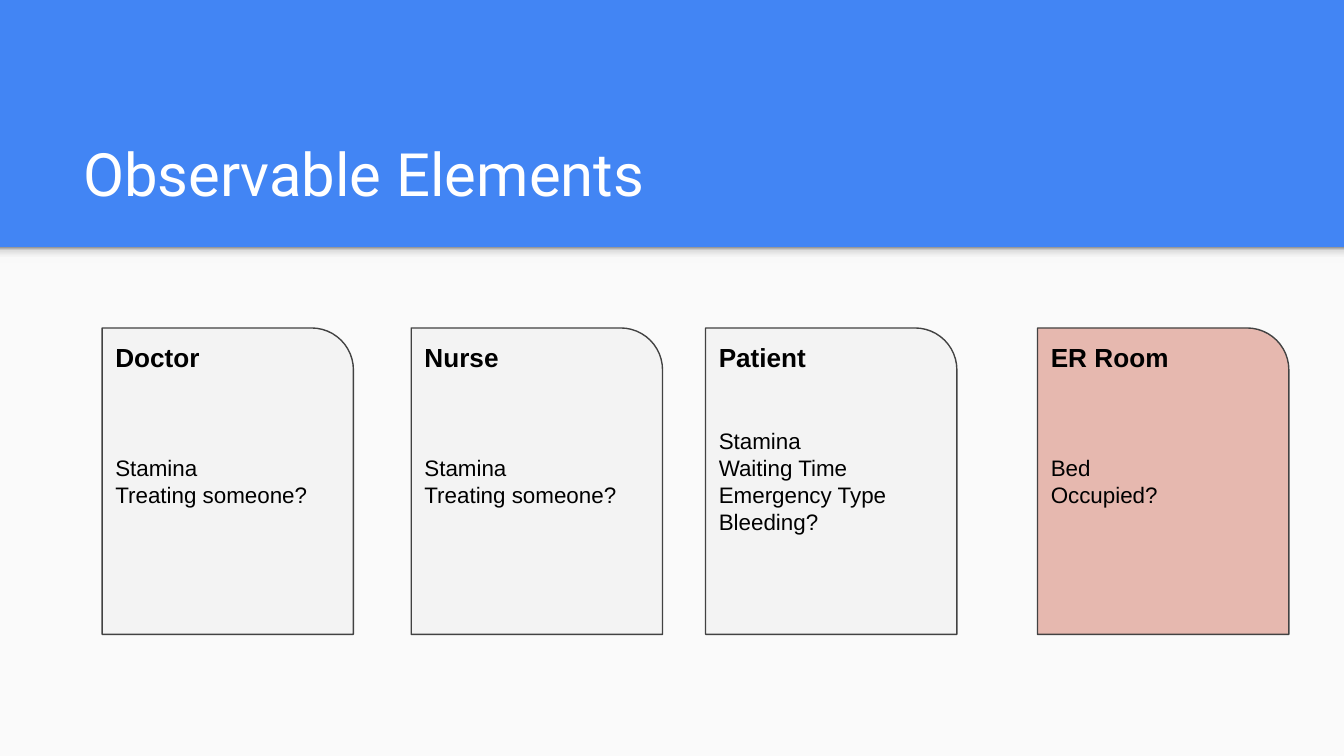
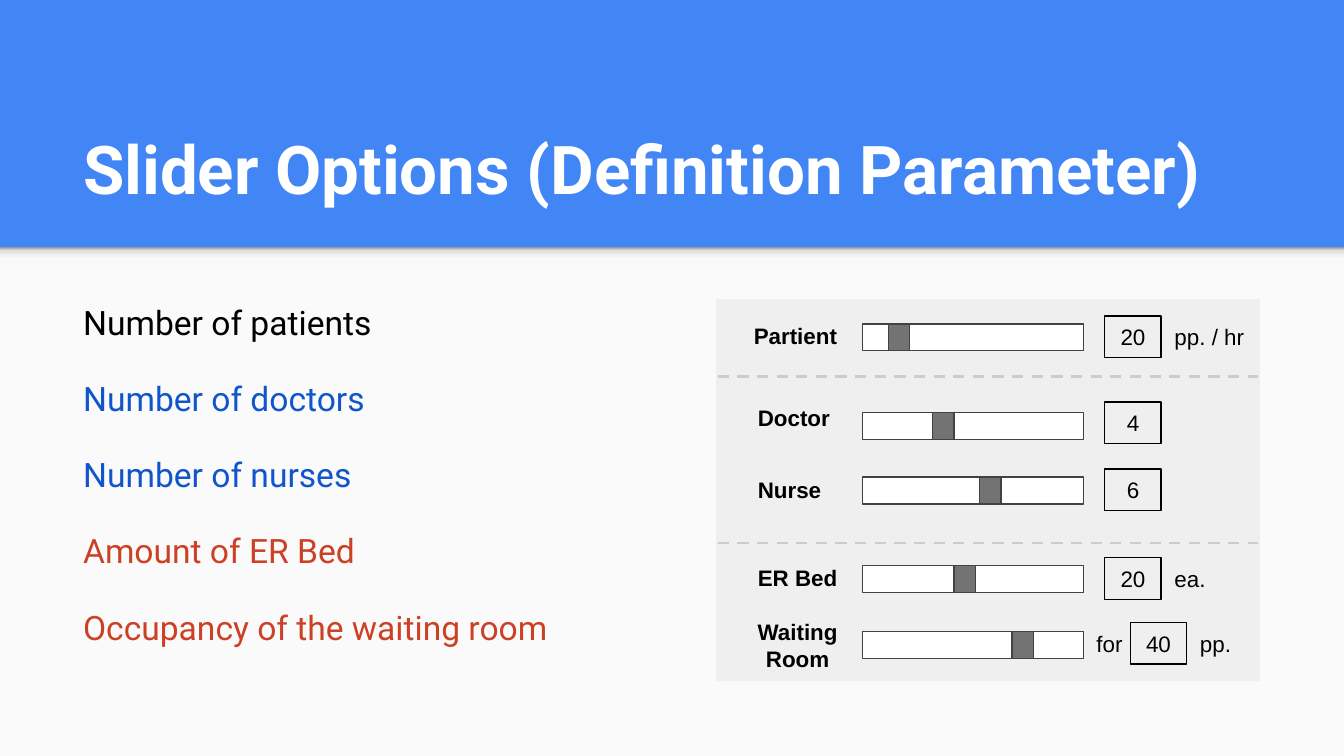
import lxml.etree
import pptx
import pptx.util
from pptx.dml.color import RGBColor
from pptx.enum.dml import MSO_LINE
from pptx.enum.shapes import MSO_CONNECTOR, MSO_SHAPE
from pptx.enum.text import MSO_ANCHOR, PP_ALIGN
from pptx.oxml.ns import qn
from pptx.util import Inches

# Page: 16 to 9
SLIDE_W = 10
SLIDE_H = SLIDE_W * 9 / 16
BAND_H = 1.84

# Colours
BAND = RGBColor(0x42, 0x85, 0xF4)
PAGE = RGBColor(0xFA, 0xFA, 0xFA)
WHITE = RGBColor(0xFF, 0xFF, 0xFF)
BLACK = RGBColor(0, 0, 0)
OUTLINE = RGBColor(0x42, 0x42, 0x42)
CARD = RGBColor(0xF3, 0xF3, 0xF3)
ROOM = RGBColor(0xE6, 0xB8, 0xAF)
PANEL = RGBColor(0xEF, 0xEF, 0xEF)
DIVIDER = RGBColor(0xCC, 0xCC, 0xCC)
KNOB = RGBColor(0x73, 0x73, 0x73)
STAFF = RGBColor(0x11, 0x55, 0xCC)
PLACE = RGBColor(0xCC, 0x41, 0x25)
SHADE_STOPS = [(0, "F9F9F9"), (36, "F9F9F9"), (80, "DEDEDE"), (100, "999999")]

# Text formats
TITLE = {"name": "Roboto", "size": pptx.util.Pt(32)}
TITLE_BOLD = {"name": "Roboto", "size": pptx.util.Pt(36), "bold": True}
BODY = {"name": "Roboto", "size": pptx.util.Pt(18)}
PLAIN = {"name": "Arial", "size": pptx.util.Pt(12)}
LABEL = {**PLAIN, "bold": True}
HEADING = {**LABEL, "size": pptx.util.Pt(14)}
BODY_SPACING = {"line_spacing": 1.15, "space_after": pptx.util.Pt(16)}

# Content
CARD_W, CARD_H, CARD_TOP = 1.87, 2.28, 2.44
CARDS = [  # left, heading, heading width, lines, fill
    (0.76, "Doctor", 0.93, ["Stamina", "Treating someone?"], CARD),
    (3.06, "Nurse", 0.97, ["Stamina", "Treating someone?"], CARD),
    (5.25, "Patient", 0.97,
     ["Stamina", "Waiting Time", "Emergency Type", "Bleeding?"], CARD),
    (7.72, "ER Room", 1.45, ["Bed", "Occupied?"], ROOM),
]
OPTIONS = [
    ("Number of patients", BLACK),
    ("Number of doctors", STAFF),
    ("Number of nurses", STAFF),
    ("Amount of ER Bed", PLACE),
    ("Occupancy of the waiting room", PLACE),
]
TRACK_LEFT, TRACK_W, KNOB_W, TRACK_H = 6.42, 1.64, 0.16, 0.2
VALUE_W, VALUE_H = 0.42, 0.31
LEFT, CENTER = PP_ALIGN.LEFT, PP_ALIGN.CENTER
SLIDERS = [  # label, its box, its alignment, track top, knob left,
             # value, value corner, unit and its width
    ("Partient", (5.51, 2.3, 0.92, 0.41), LEFT, 2.41, 6.61,
     "20", (8.22, 2.35), ("pp. / hr", 0.85)),
    ("Doctor", (5.54, 2.91, 0.85, 0.41), LEFT, 3.07, 6.94,
     "4", (8.22, 2.99), None),
    ("Nurse", (5.54, 3.44, 0.85, 0.41), LEFT, 3.55, 7.29,
     "6", (8.22, 3.49), None),
    ("ER Bed", (5.54, 4.1, 0.85, 0.41), LEFT, 4.21, 7.1,
     "20", (8.22, 4.15), ("ea.", 0.73)),
    ("Waiting Room", (5.51, 4.5, 0.85, 0.41), CENTER, 4.7, 7.53,
     "40", (8.41, 4.63), ("pp.", 0.54)),
]


def write(sp, lines, font, anchor=MSO_ANCHOR.TOP, align=LEFT, spacing=None):
    """Fill a shape with one paragraph per (text, colour) pair."""
    tf = sp.text_frame
    frame = {"word_wrap": True, "vertical_anchor": anchor}
    for side in ("left", "top", "right", "bottom"):
        frame["margin_" + side] = Inches(0.1)
    for key, value in frame.items():
        setattr(tf, key, value)
    for i, (text, color) in enumerate(lines):
        p = tf.add_paragraph() if i else tf.paragraphs[0]
        for key, value in {"alignment": align, **(spacing or {})}.items():
            setattr(p, key, value)
        r = p.add_run()
        r.text = text
        for key, value in font.items():
            setattr(r.font, key, value)
        r.font.color.rgb = color


def add_text(s, box, lines, font, **layout):
    sp = s.shapes.add_textbox(*map(Inches, box))
    write(sp, lines, font, **layout)


def add_box(s, box, fill=None, line=None, kind=MSO_SHAPE.RECTANGLE):
    sp = s.shapes.add_shape(kind, *map(Inches, box))
    sp.shadow.inherit = False
    if fill is None:
        sp.fill.background()
    else:
        sp.fill.solid()
        sp.fill.fore_color.rgb = fill
    if line is None:
        sp.line.fill.background()
    else:
        sp.line.color.rgb = line
        sp.line.width = pptx.util.Pt(0.75)
    return sp


def add_shade(s, box):
    """Soft strip under the title band, darkest at its top edge."""
    sp = add_box(s, box)
    sp.fill.gradient()
    sp.fill.gradient_angle = 90
    stops = sp.element.spPr.find(qn("a:gradFill")).find(qn("a:gsLst"))
    for old in list(stops):
        stops.remove(old)
    for percent, color in SHADE_STOPS:
        gs = lxml.etree.SubElement(stops, qn("a:gs"), pos=str(percent * 1000))
        lxml.etree.SubElement(gs, qn("a:srgbClr"), val=color)


def add_divider(s, y):
    ends = map(Inches, (5.34, y, 9.36, y))
    line = s.shapes.add_connector(MSO_CONNECTOR.STRAIGHT, *ends)
    line.line.color.rgb = DIVIDER
    line.line.width = pptx.util.Pt(1.5)
    line.line.dash_style = MSO_LINE.DASH
    lxml.etree.SubElement(line.element.spPr, qn("a:effectLst"))


def add_slide(prs, title, font):
    """Blank slide with the blue title band and the light page below it."""
    s = prs.slides.add_slide(prs.slide_layouts[6])
    s.background.fill.solid()
    s.background.fill.fore_color.rgb = BAND
    add_box(s, (0, BAND_H, SLIDE_W, SLIDE_H - BAND_H), PAGE)
    add_shade(s, (0, BAND_H, SLIDE_W, 0.12))
    add_text(s, (0.52, 0.81, 8.99, 0.84), [(title, WHITE)], font,
             anchor=MSO_ANCHOR.BOTTOM)
    return s


def add_card(s, left, heading, heading_w, lines, fill):
    sp = add_box(s, (left, CARD_TOP, CARD_W, CARD_H), fill, OUTLINE,
                 MSO_SHAPE.ROUND_1_RECTANGLE)
    write(sp, [(text, BLACK) for text in lines], PLAIN, MSO_ANCHOR.MIDDLE)
    add_text(s, (left, CARD_TOP, heading_w, 0.4), [(heading, BLACK)], HEADING)


def add_unit(s, left, top, text, width):
    add_text(s, (left, top, width, VALUE_H), [(text, BLACK)], PLAIN,
             anchor=MSO_ANCHOR.MIDDLE)


def add_slider(s, label, label_box, align, top, knob_left, value, corner, unit):
    add_text(s, label_box, [(label, BLACK)], LABEL, align=align)
    add_box(s, (TRACK_LEFT, top, TRACK_W, TRACK_H), WHITE, OUTLINE)
    add_box(s, (knob_left, top, KNOB_W, TRACK_H), KNOB, OUTLINE)
    sp = add_box(s, (*corner, VALUE_W, VALUE_H), line=BLACK)
    write(sp, [(value, BLACK)], PLAIN, MSO_ANCHOR.MIDDLE, CENTER)
    if unit:
        add_unit(s, corner[0] + VALUE_W, corner[1], *unit)


def main():
    prs = pptx.Presentation()
    prs.slide_width, prs.slide_height = Inches(SLIDE_W), Inches(SLIDE_H)

    # Observable elements
    s = add_slide(prs, "Observable Elements", TITLE)
    for card in CARDS:
        add_card(s, *card)

    # Slider options
    s = add_slide(prs, "Slider Options (Definition Parameter)", TITLE_BOLD)
    add_text(s, (0.52, 2.1, 8.99, 2.96), OPTIONS, BODY, spacing=BODY_SPACING)
    add_box(s, (5.33, 2.23, 4.04, 2.83), PANEL, PANEL)
    for y in (2.8, 4.04):
        add_divider(s, y)
    for slider in SLIDERS:
        add_slider(s, *slider)
    add_unit(s, 8.06, 4.63, "for", 0.42)

    prs.save("out.pptx")


if __name__ == "__main__":
    main()
